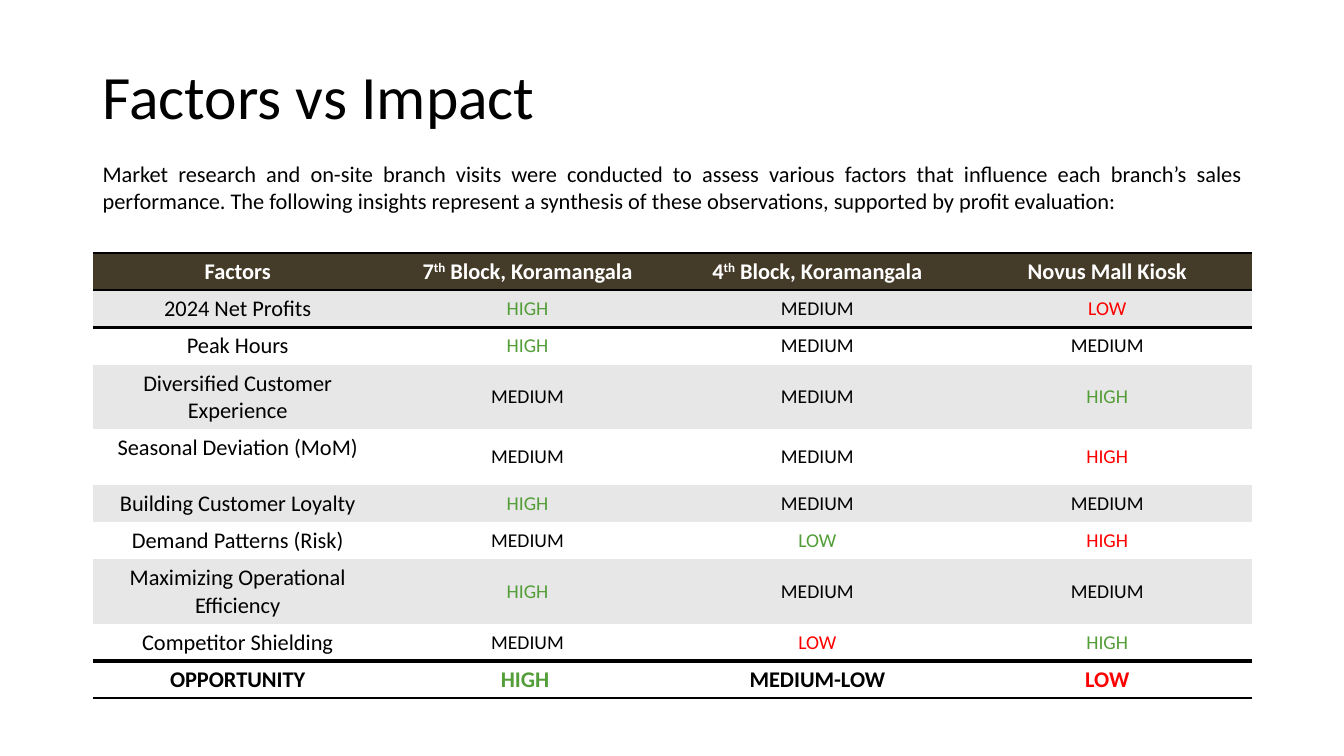
"""Build the slide that rates three branches by sales factor."""
import pptx
import pptx.util
import pptx.dml.color
import pptx.enum.text
import pptx.oxml
import pptx.oxml.ns

Inches = pptx.util.Inches
Align = pptx.enum.text.PP_ALIGN
Anchor = pptx.enum.text.MSO_ANCHOR
INKS = {"K": "000000", "G": "549E39", "R": "FF0000", "W": "FFFFFF"}


def color(code):
    return pptx.dml.color.RGBColor.from_string(code)


def write(frame, text, size=16, ink="K", bold=False, align=Align.CENTER, space=1.0):
    frame.word_wrap = True
    para = frame.paragraphs[0]
    para.alignment = align
    para.line_spacing = space
    for spot, piece in enumerate(text.split("^")):
        run = para.add_run()
        run.text = piece
        run.font.name = "Calibri"
        run.font.size = pptx.util.Pt(size)
        run.font.bold = bold
        run.font.color.rgb = color(INKS[ink])
        if spot % 2:
            run.font._element.set("baseline", "30000")


deck = pptx.Presentation()
deck.slide_width = Inches(13.33)
deck.slide_height = Inches(7.5)
slide = deck.slides.add_slide(deck.slide_layouts[6])
left, width = Inches(0.92), Inches(11.5)

title = slide.shapes.add_textbox(left, Inches(0.26), width, Inches(1.45)).text_frame
title.vertical_anchor = Anchor.MIDDLE
write(title, "Factors vs Impact", size=44, align=Align.LEFT, space=0.9)

intro = slide.shapes.add_textbox(left, Inches(1.54), width, Inches(0.64)).text_frame
write(
    intro,
    "Market research and on-site branch visits were conducted to assess various "
    "factors that influence each branch’s sales performance. The following insights "
    "represent a synthesis of these observations, supported by profit evaluation:",
    align=Align.JUSTIFY,
)

rows = [
    ("WWWW", 0.37, "Factors", "7^th^ Block, Koramangala", "4^th^ Block, Koramangala",
     "Novus Mall Kiosk"),
    ("KGKR", 0.37, "2024 Net Profits", "HIGH", "MEDIUM", "LOW"),
    ("KGKK", 0.37, "Peak Hours", "HIGH", "MEDIUM", "MEDIUM"),
    ("KKKG", 0.64, "Diversified Customer Experience", "MEDIUM", "MEDIUM", "HIGH"),
    ("KKKR", 0.55, "Seasonal Deviation (MoM)", "MEDIUM", "MEDIUM", "HIGH"),
    ("KGKK", 0.37, "Building Customer Loyalty", "HIGH", "MEDIUM", "MEDIUM"),
    ("KKGR", 0.37, "Demand Patterns (Risk)", "MEDIUM", "LOW", "HIGH"),
    ("KGKK", 0.64, "Maximizing Operational Efficiency", "HIGH", "MEDIUM", "MEDIUM"),
    ("KKRG", 0.37, "Competitor Shielding", "MEDIUM", "LOW", "HIGH"),
    ("KGKR", 0.37, "OPPORTUNITY", "HIGH ", "MEDIUM-LOW", "LOW"),
]
last = len(rows) - 1
rules = {0: 2, 1: 2, last: 4, last + 1: 2}

height = Inches(sum(row[1] for row in rows))
table = slide.shapes.add_table(len(rows), 4, left, Inches(2.51), width, height).table
style = table._tbl.tblPr.find(pptx.oxml.ns.qn("a:tableStyleId"))
style.text = "{2D5ABB26-0587-4C30-8999-92F81FD0307C}"
table.horz_banding = False

for r, (inks, tall, *texts) in enumerate(rows):
    table.rows[r].height = Inches(tall)
    ends = r in (0, last)
    fill = "443C29" if r == 0 else "E7E7E7" if r % 2 and not ends else "FFFFFF"
    for c, text in enumerate(texts):
        cell = table.cell(r, c)
        cell.fill.solid()
        cell.fill.fore_color.rgb = color(fill)
        rating = c > 0 and not ends
        cell.vertical_anchor = Anchor.MIDDLE if rating else Anchor.TOP
        write(cell.text_frame, text, size=14 if rating else 16, ink=inks[c], bold=ends)
        props = cell._tc.get_or_add_tcPr()
        for side, edge in (("B", r + 1), ("T", r)):
            if edge in rules:
                line = pptx.oxml.parse_xml(
                    f'<a:ln{side} {pptx.oxml.ns.nsdecls("a")} w="{rules[edge] * 12700}">'
                    '<a:solidFill><a:srgbClr val="000000"/></a:solidFill>'
                    f"</a:ln{side}>"
                )
                props.insert(0, line)

deck.save("out.pptx")
